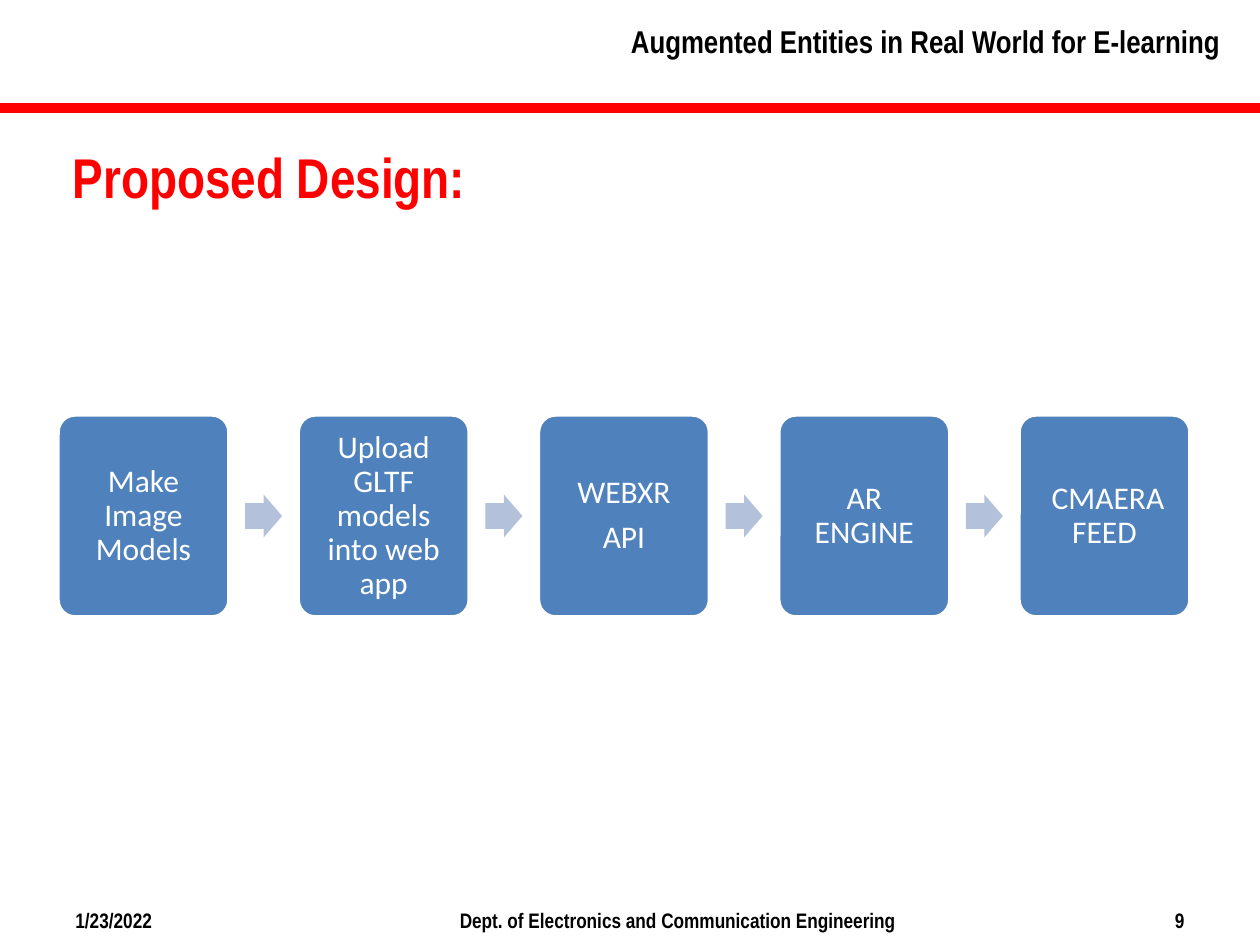
from pptx import Presentation
from pptx import util as u
from pptx.dml.color import RGBColor
from pptx.enum import shapes, text

EMU_PER_PX = 914400 / 126
WIDTH, HEIGHT = 1260, 945
RED, BLACK, WHITE = "FF0000", "000000", "FFFFFF"
BLUE, PALE_BLUE = "4F81BD", "B3C1DB"
LEFT, CENTER, RIGHT = text.PP_ALIGN.LEFT, text.PP_ALIGN.CENTER, text.PP_ALIGN.RIGHT
TOP, MIDDLE = text.MSO_ANCHOR.TOP, text.MSO_ANCHOR.MIDDLE
STEPS = [
    ["Make Image Models"],
    ["Upload GLTF models into web app"],
    ["WEBXR", "API"],
    ["AR ENGINE"],
    [" CMAERA\vFEED"],
]


def px(value):
    """Turn px into EMU."""
    return u.Emu(round(value * EMU_PER_PX))


def colour(value):
    """Turn a hex string into a colour."""
    return RGBColor.from_string(value)


def set_all(target, values):
    """Set each attribute named in a dict."""
    for name, value in values.items():
        setattr(target, name, value)


def place(item, box):
    """Move and size an item to a px box."""
    set_all(item, dict(zip(("left", "top", "width", "height"), map(px, box))))


def write(item, lines, size, hue, align, anchor, face="Arial Narrow", bold=True, spacing=None):
    """Fill an item with formatted paragraphs."""
    frame = item.text_frame
    set_all(frame, {"word_wrap": True, "auto_size": text.MSO_AUTO_SIZE.NONE,
                    "vertical_anchor": anchor})
    for index, line in enumerate(lines):
        para = frame.add_paragraph() if index else frame.paragraphs[0]
        para.text = line
        set_all(para, {"alignment": align, **(spacing or {})})
        for span in para.runs:
            set_all(span.font, {"name": face, "size": u.Pt(size), "bold": bold})
            span.font.color.rgb = colour(hue)


def add_label(page, box, line, size, align, anchor):
    """Add a bold black line of text."""
    label = page.shapes.add_textbox(*map(px, box))
    write(label, [line], size, BLACK, align, anchor)


def add_block(page, kind, box, fill, adjustments, outline=None):
    """Add a filled preset shape, with an outline if one is given."""
    block = page.shapes.add_shape(kind, *map(px, box))
    block.shadow.inherit = False
    block.fill.solid()
    block.fill.fore_color.rgb = colour(fill)
    for index, value in enumerate(adjustments):
        block.adjustments[index] = value
    if outline:
        block.line.color.rgb = colour(outline)
        block.line.width = u.Pt(2)
    else:
        block.line.fill.background()
    return block


def add_header(page, box):
    """Place the running title, the red rule and the slide title."""
    left, top, width, height = box
    add_block(page, shapes.MSO_SHAPE.RECTANGLE, (left, top + 105, width, 6), RED, [], RED)
    add_label(page, (left + 481, top + 16, 759, 90),
              "Augmented Entities in Real World for E-learning ", 18, RIGHT, TOP)
    title = page.shapes.title
    place(title, (left + 60, top + 136, width - 84, height - 136))
    write(title, ["Proposed Design:"], 32, RED, LEFT, TOP)


def add_flow(page, box):
    """Place the equally spaced steps with an arrow in each gap."""
    left, top, width, height = box
    step_width, arrow_width, arrow_height = 171, 37, 43
    pitch = (width - step_width) / (len(STEPS) - 1)
    spacing = {"line_spacing": 0.9, "space_after": u.Pt(6.3)}
    for index, lines in enumerate(STEPS):
        x = left + index * pitch
        if index:
            arrow_x = x - (pitch - step_width + arrow_width) / 2
            arrow_y = top + (height - arrow_height) / 2
            add_block(page, shapes.MSO_SHAPE.RIGHT_ARROW,
                      (arrow_x, arrow_y, arrow_width, arrow_height), PALE_BLUE, [0.6, 0.5])
        step = add_block(page, shapes.MSO_SHAPE.ROUNDED_RECTANGLE,
                         (x, top, step_width, height), BLUE, [0.1], WHITE)
        margins = ("margin_left", "margin_top", "margin_right", "margin_bottom")
        set_all(step.text_frame, dict.fromkeys(margins, px(10)))
        write(step, lines, 18, WHITE, CENTER, MIDDLE, "Calibri", False, spacing)


def add_footer(page, box):
    """Place the date, department and slide number."""
    left, top, width, height = box
    add_label(page, (left, top, 147, height), "1/23/2022", 12, LEFT, MIDDLE)
    add_label(page, (left + 305, top, 620, height),
              "Dept. of Electronics and Communication Engineering", 12, CENTER, MIDDLE)
    add_label(page, (left + width - 53, top, 53, height), "9", 12, RIGHT, MIDDLE)


def main():
    """Build and save the deck."""
    deck = Presentation()
    set_all(deck, {"slide_width": px(WIDTH), "slide_height": px(HEIGHT)})
    page = deck.slides.add_slide(deck.slide_layouts[5])
    add_header(page, (0, 0, WIDTH, 217))
    add_flow(page, (58, 415, 1132, 202))
    add_footer(page, (63, 895, 1134, 50))
    deck.save("out.pptx")


if __name__ == "__main__":
    main()
